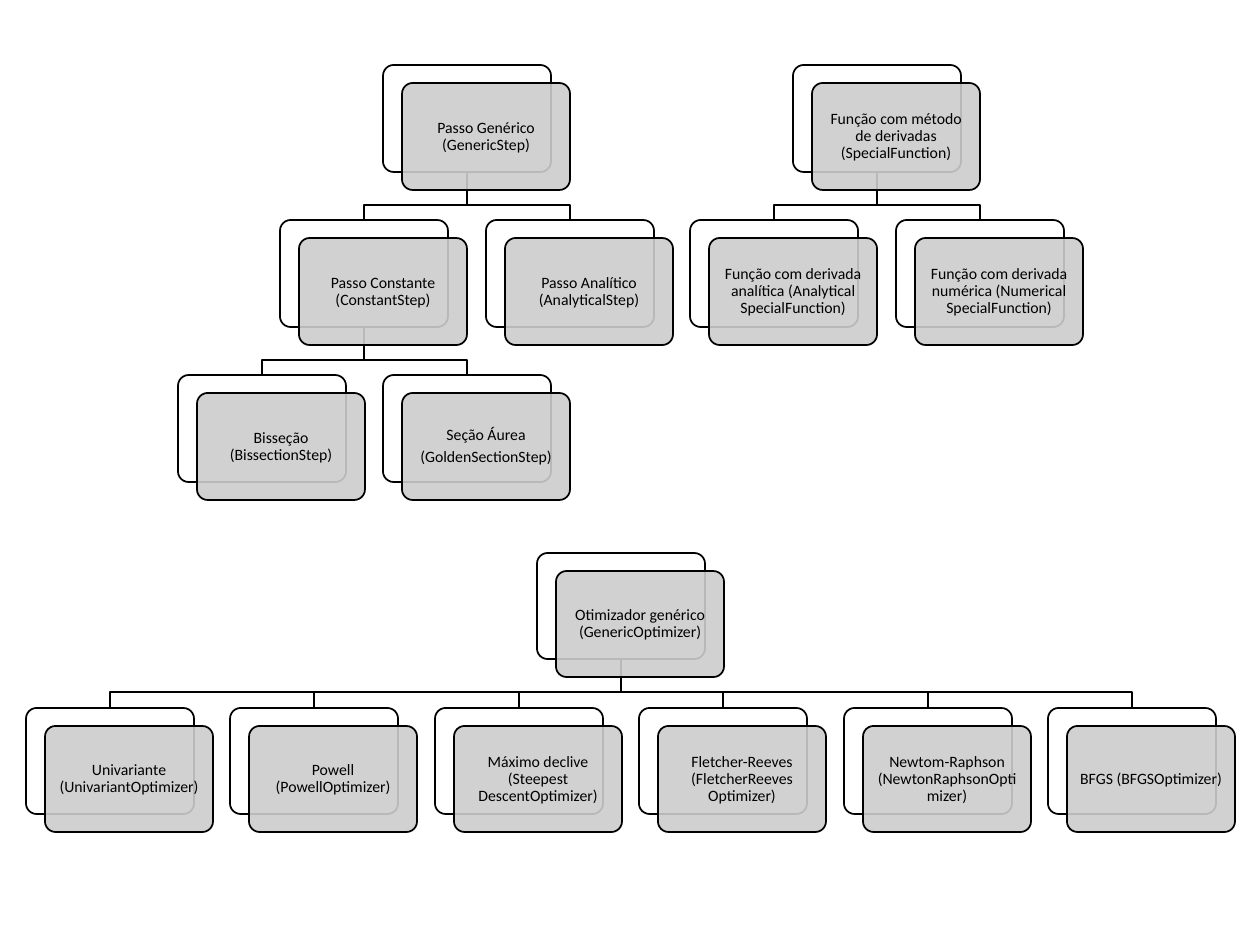
from lxml import etree
from pptx import Presentation
from pptx.dml.color import RGBColor
from pptx.enum.shapes import MSO_SHAPE
from pptx.enum.text import MSO_ANCHOR, PP_ALIGN
from pptx.oxml.ns import qn
from pptx.util import Pt

PX = 914400 / 126  # EMU in one px
ROUNDED = MSO_SHAPE.ROUNDED_RECTANGLE
CENTER = PP_ALIGN.CENTER
MIDDLE = MSO_ANCHOR.MIDDLE
COLORS = {"line": "000000", "text": "000000", "back": "FFFFFF", "front": "CCCCCC"}
CARD_WIDTH = 168
SHIFT_X, SHIFT_Y = 19, 18  # front card against back card
ELBOW = 33  # drop from a parent to the cross line


def emu(px):
    return round(px * PX)


def color(name):
    return RGBColor.from_string(COLORS[name])


class ChartSlide:
    font = "Calibri"
    size = Pt(9)
    line_width = Pt(1)

    def __init__(self, slide):
        self.shapes = slide.shapes

    def outline(self, shape):
        shape.shadow.inherit = False
        shape.line.color.rgb = color("line")
        shape.line.width = self.line_width

    def link(self, start, end):
        """Elbow line from a parent's bottom to a child's top."""
        (x1, y1), (x2, y2) = start, end
        builder = self.shapes.build_freeform(x1, y1, scale=PX)
        turn = y1 + ELBOW
        builder.add_line_segments([(x1, turn), (x2, turn), (x2, y2)], close=False)
        shape = builder.convert_to_shape()
        shape.fill.background()
        self.outline(shape)

    def panel(self, x, y, height, fill):
        shape = self.shapes.add_shape(
            ROUNDED, emu(x), emu(y), emu(CARD_WIDTH), emu(height))
        shape.adjustments[0] = 0.1
        shape.fill.solid()
        shape.fill.fore_color.rgb = color(fill)
        self.outline(shape)
        return shape

    def card(self, x, y, height, lines):
        """White back panel with a translucent labelled panel in front."""
        self.panel(x, y, height, "back")
        front = self.panel(x + SHIFT_X, y + SHIFT_Y, height, "front")
        tint = front.fill._xPr.find(qn("a:solidFill"))[0]
        etree.SubElement(tint, qn("a:alpha"), val="90000")
        frame = front.text_frame
        frame.word_wrap = True
        frame.vertical_anchor = MIDDLE
        frame.margin_left = frame.margin_right = emu(8)
        frame.margin_top = frame.margin_bottom = emu(7)
        for index, line in enumerate(lines):
            para = frame.add_paragraph() if index else frame.paragraphs[0]
            para.alignment = CENTER
            para.line_spacing = 0.9
            para.space_after = Pt(3)
            span = para.add_run()
            span.text = line
            span.font.name = self.font
            span.font.size = self.size
            span.font.color.rgb = color("text")

    def tree(self, left, top, pitch, height, nodes):
        """Nodes: name -> (column, row, parent name, lines)."""
        corners = {name: (round(left + column * pitch), top + row * 155)
                   for name, (column, row, _, _) in nodes.items()}
        half = CARD_WIDTH // 2
        for name, (_, _, parent, _) in nodes.items():
            if parent:
                px, py = corners[parent]
                x, y = corners[name]
                self.link((px + half, py + height), (x + half, y))
        for name, (_, _, _, lines) in nodes.items():
            self.card(*corners[name], height, lines)


# Columns are counted in card pitches from the left edge of each tree
STEPS_AND_FUNCTIONS = {
    "step": (1, 0, None, ["Passo Genérico (GenericStep)"]),
    "constant": (0.5, 1, "step", ["Passo Constante (ConstantStep)"]),
    "bisection": (0, 2, "constant", ["Bisseção (BissectionStep)"]),
    "golden": (1, 2, "constant", ["Seção Áurea", "(GoldenSectionStep)"]),
    "analytical step": (1.5, 1, "step", ["Passo Analítico (AnalyticalStep)"]),
    "function": (3, 0, None, ["Função com método de derivadas (SpecialFunction)"]),
    "analytical": (2.5, 1, "function",
                   ["Função com derivada analítica (Analytical SpecialFunction)"]),
    "numerical": (3.5, 1, "function",
                  ["Função com derivada numérica (Numerical SpecialFunction)"]),
}
METHODS = [
    "Univariante (UnivariantOptimizer)",
    "Powell (PowellOptimizer)",
    "Máximo declive (Steepest DescentOptimizer)",
    "Fletcher-Reeves (FletcherReeves Optimizer)",
    "Newtom-Raphson (NewtonRaphsonOptimizer)",
    "BFGS (BFGSOptimizer)",
]
OPTIMIZERS = {"optimizer": (2.5, 0, None, ["Otimizador genérico (GenericOptimizer)"])}
for number, method in enumerate(METHODS):
    OPTIMIZERS[method] = (number, 1, "optimizer", [method])


def main():
    deck = Presentation()
    deck.slide_width, deck.slide_height = emu(1260), emu(945)
    page = ChartSlide(deck.slides.add_slide(deck.slide_layouts[6]))
    # Step and function classes above, optimizer classes below
    page.tree(178, 65, 205, 107, STEPS_AND_FUNCTIONS)
    page.tree(26, 553, 204.4, 106, OPTIMIZERS)
    deck.save("out.pptx")


if __name__ == "__main__":
    main()
